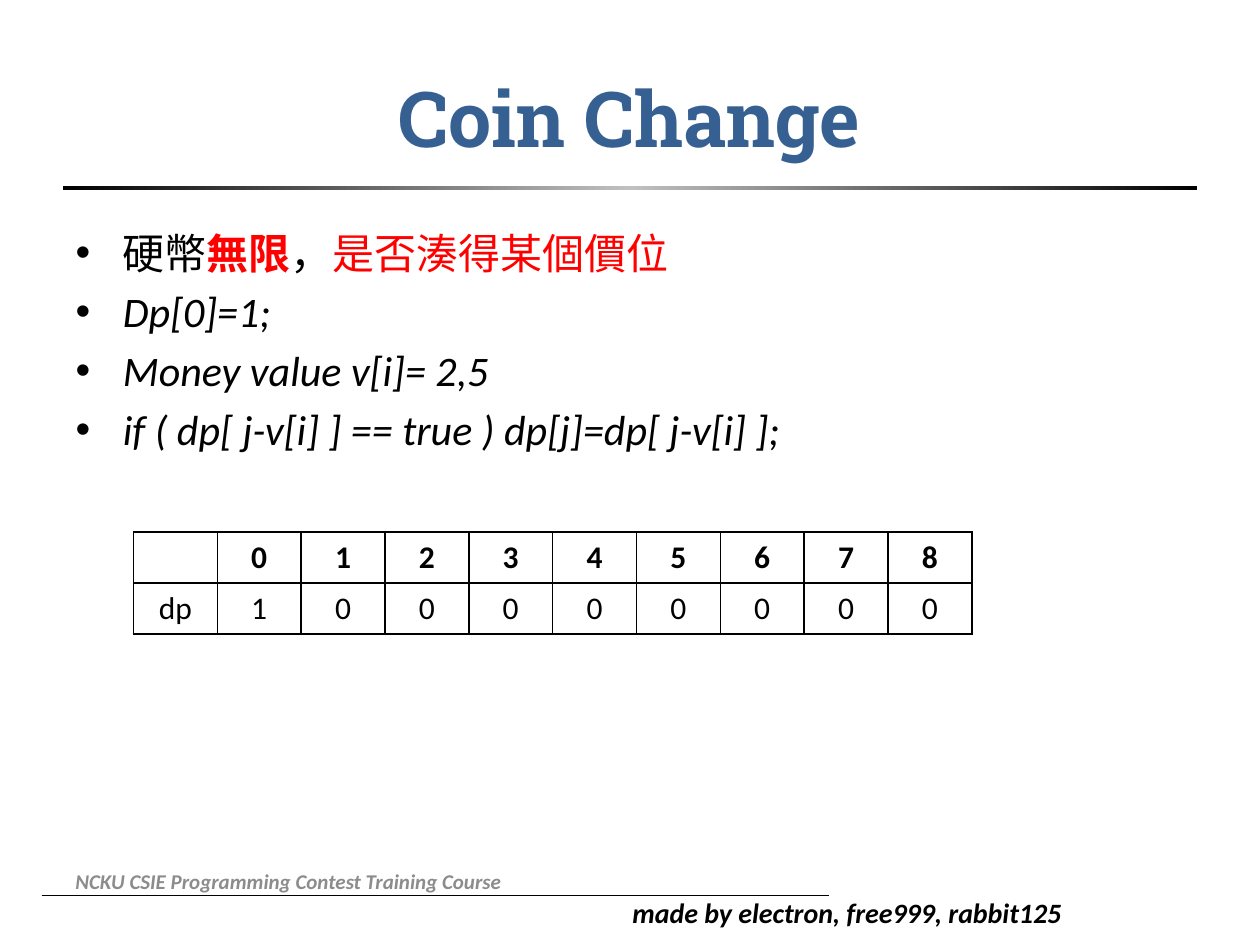
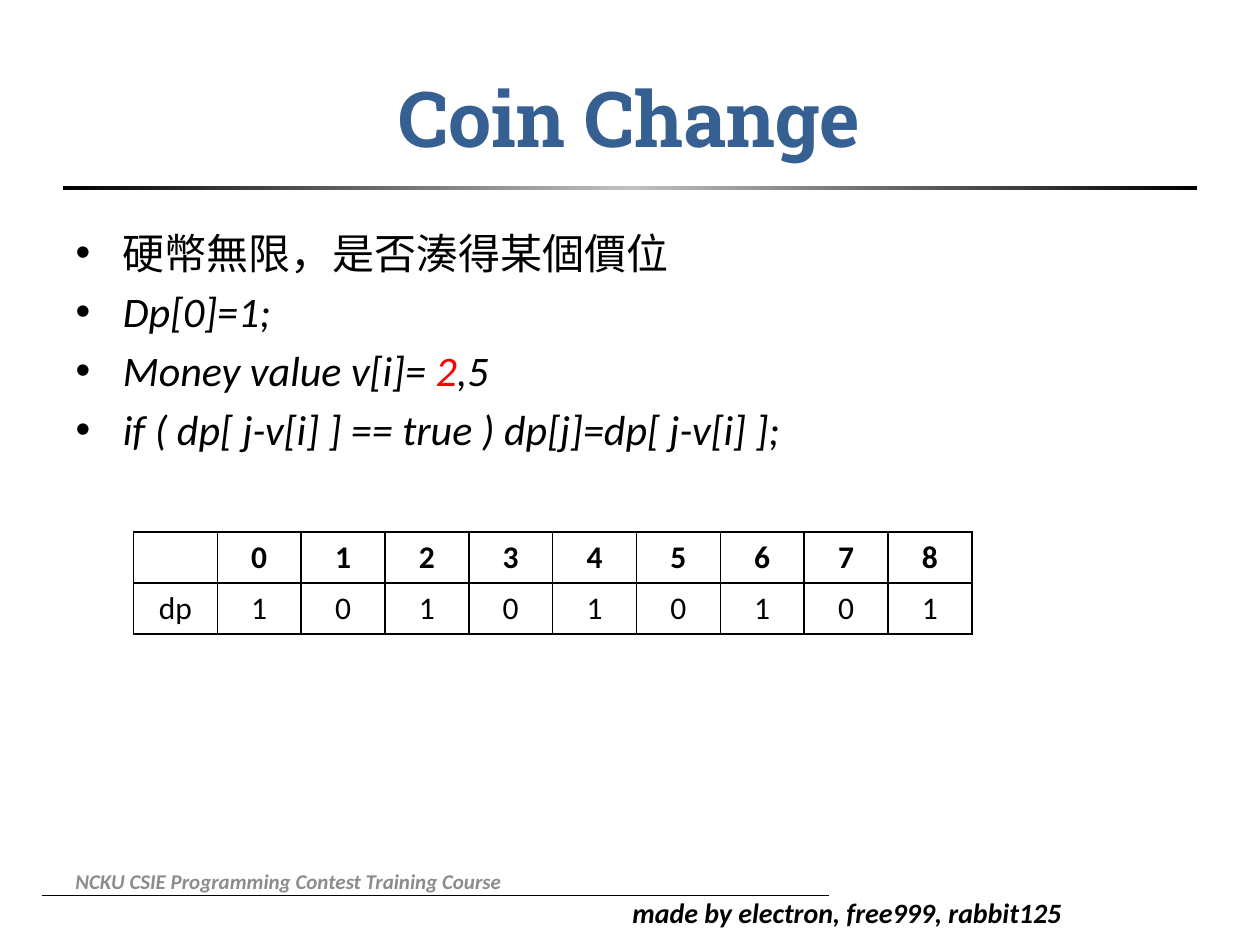
from copy import deepcopy

from lxml.etree import SubElement
from pptx import Presentation
from pptx.dml.color import RGBColor
from pptx.enum.shapes import MSO_CONNECTOR, MSO_SHAPE
from pptx.enum.text import MSO_ANCHOR, MSO_AUTO_SIZE, PP_ALIGN
from pptx.oxml.ns import qn
from pptx.util import Cm, Pt

BLACK, WHITE, RED = "000000", "FFFFFF", "FF0000"
TITLE_BLUE, FOOTER_GRAY, SILVER = "376092", "8C8C8C", "C0C0C0"
MARGIN, CONTENT_WIDTH = Cm(1.27), Cm(22.86)
COLUMN_WIDTH, ROW_HEIGHT = Cm(1.69), Cm(1.03)

CODE_LINE = "if ( dp[ j-v[i] ] == true ) dp[j]=dp[ j-v[i] ];"
STEPS = [
    {
        "bullets": [
            [("硬幣", BLACK, False), ("無限", RED, True), ("，", BLACK, False),
             ("是否湊得某個價位", RED, False)],
            [("Dp[0]=1;", BLACK, False)],
            [("Money value v[i]= 2,5", BLACK, False)],
            [(CODE_LINE, BLACK, False)],
        ],
        "reachable": [1, 0, 0, 0, 0, 0, 0, 0, 0],
    },
    {
        "bullets": [
            [("硬幣無限，是否湊得某個價位", BLACK, False)],
            [("Dp[0]=1;", BLACK, False)],
            [("Money value v[i]= ", BLACK, False), ("2", RED, False), (",5", BLACK, False)],
            [(CODE_LINE, BLACK, False)],
        ],
        "reachable": [1, 0, 1, 0, 1, 0, 1, 0, 1],
    },
]
FOOTERS = [
    ("made by electron, free999, rabbit125",
     (Cm(12.5), Cm(17.93), Cm(9.8), Cm(0.94)), 16, BLACK, MSO_ANCHOR.TOP),
    ("NCKU CSIE Programming Contest Training Course",
     (MARGIN, Cm(17.25), Cm(12.83), Cm(1.02)), 12, FOOTER_GRAY, MSO_ANCHOR.MIDDLE),
]


def color(hex_string):
    return RGBColor.from_string(hex_string)


def format_run(run, size, hex_color, bold=False, italic=False, name="Calibri"):
    run.font.name = name
    run.font.size = Pt(size)
    run.font.bold = bold
    run.font.italic = italic
    run.font.color.rgb = color(hex_color)


presentation = Presentation()
presentation.slide_width = Cm(25.4)
presentation.slide_height = Cm(19.05)

for step in STEPS:
    slide = presentation.slides.add_slide(presentation.slide_layouts[1])

    footer_line = slide.shapes.add_connector(
        MSO_CONNECTOR.STRAIGHT, Cm(0.84), Cm(18.06), Cm(16.71), Cm(18.06))
    footer_line.line.color.rgb = color(BLACK)
    footer_line.line.width = Pt(0.5)
    SubElement(footer_line._element.spPr, qn("a:effectLst"))

    title_rule = slide.shapes.add_shape(
        MSO_SHAPE.RECTANGLE, MARGIN, Cm(3.76), CONTENT_WIDTH, Cm(0.08))
    title_rule.shadow.inherit = False
    title_rule.line.fill.background()
    title_rule.fill.gradient()
    title_rule.fill.gradient_angle = 0
    stop_list = title_rule._element.spPr.find(".//" + qn("a:gsLst"))
    stop_list.insert(1, deepcopy(stop_list[0]))
    for stop, position, hex_color in zip(
            title_rule.fill.gradient_stops, (0, 0.5, 1), (BLACK, SILVER, BLACK)):
        stop.position = position
        stop.color.rgb = color(hex_color)

    for text, box, size, hex_color, anchor in FOOTERS:
        footer = slide.shapes.add_textbox(*box)
        footer.text_frame.word_wrap = True
        footer.text_frame.vertical_anchor = anchor
        footer.text_frame.text = text
        format_run(footer.text_frame.paragraphs[0].runs[0], size, hex_color, True, True)

    title = slide.shapes.title
    title.left, title.top, title.width, title.height = MARGIN, Cm(0.76), CONTENT_WIDTH, Cm(3.18)
    title.text_frame.text = "Coin Change"
    title.text_frame.vertical_anchor = MSO_ANCHOR.MIDDLE
    title.text_frame.paragraphs[0].alignment = PP_ALIGN.CENTER
    format_run(title.text_frame.paragraphs[0].runs[0], 44, TITLE_BLUE, True, name="Roboto Slab")

    body = slide.placeholders[1]
    body.left, body.top, body.width, body.height = MARGIN, Cm(4.45), CONTENT_WIDTH, Cm(12.57)
    body.text_frame.auto_size = MSO_AUTO_SIZE.NONE
    for index, pieces in enumerate(step["bullets"]):
        paragraph = body.text_frame.add_paragraph() if index else body.text_frame.paragraphs[0]
        paragraph.space_before = Pt(4.8 if index else 0)
        for text, hex_color, bold in pieces:
            run = paragraph.add_run()
            run.text = text
            format_run(run, 24, hex_color, bold, italic=index > 0)

    table_rows = [["", *range(9)], ["dp", *step["reachable"]]]
    table = slide.shapes.add_table(
        2, 10, Cm(2.69), Cm(10.72), COLUMN_WIDTH * 10, ROW_HEIGHT * 2).table
    table.horz_banding = False
    for column in table.columns:
        column.width = COLUMN_WIDTH
    for row_index, values in enumerate(table_rows):
        table.rows[row_index].height = ROW_HEIGHT
        for column_index, value in enumerate(values):
            cell = table.cell(row_index, column_index)
            cell_properties = cell._tc.get_or_add_tcPr()
            for side in ("a:lnL", "a:lnR", "a:lnT", "a:lnB"):
                border = SubElement(cell_properties, qn(side), w=str(Pt(1)))
                border_fill = SubElement(border, qn("a:solidFill"))
                SubElement(border_fill, qn("a:srgbClr"), val=BLACK)
            cell.fill.solid()
            cell.fill.fore_color.rgb = color(WHITE)
            cell.text_frame.text = str(value)
            paragraph = cell.text_frame.paragraphs[0]
            paragraph.alignment = PP_ALIGN.CENTER
            for run in paragraph.runs:
                format_run(run, 18, BLACK, bold=row_index == 0)

presentation.save("out.pptx")
